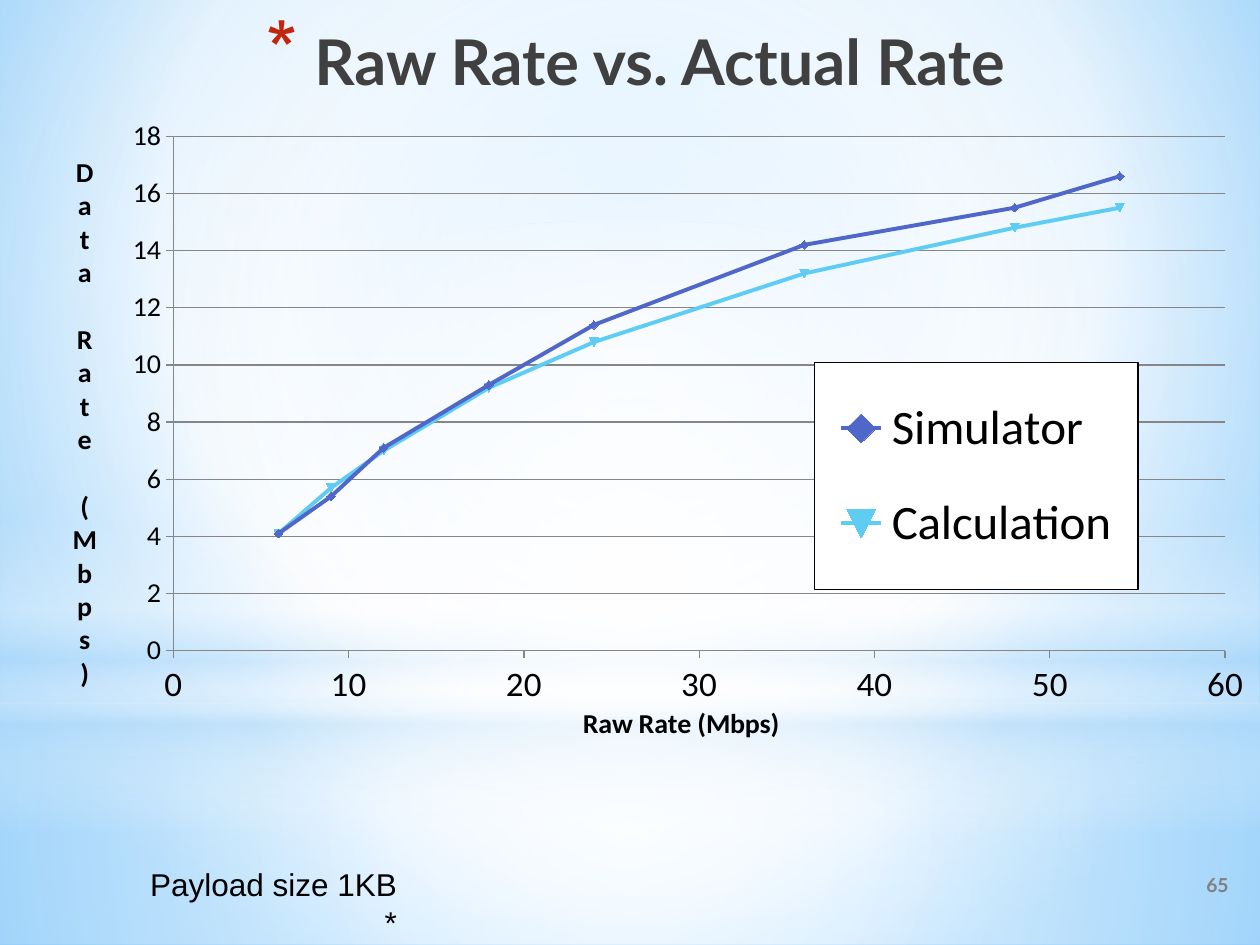
from dataclasses import dataclass

from lxml.etree import SubElement
from pptx import Presentation
from pptx.chart.data import XyChartData
from pptx.dml.color import RGBColor
from pptx.enum.chart import XL_CHART_TYPE as ChartType, XL_LEGEND_POSITION as LegendPosition
from pptx.enum.chart import XL_TICK_MARK as TickMark
from pptx.enum.shapes import MSO_SHAPE as Shape
from pptx.enum.text import MSO_ANCHOR as Anchor, MSO_AUTO_SIZE as AutoSize, PP_ALIGN as Align
from pptx.oxml import parse_xml
from pptx.oxml.ns import nsdecls, qn
from pptx.util import Inches, Pt


@dataclass(frozen=True)
class Theme:
    heading_font: str = "Lato"
    chart_font: str = "Calibri"
    note_font: str = "Arial"
    title_size: int = 36
    legend_size: int = 28
    raw_axis_size: int = 20
    note_size: int = 18
    axis_size: int = 16
    number_size: int = 11
    black: str = "000000"
    title: str = "404040"
    bullet: str = "C3260C"
    gray: str = "808080"
    grid: str = "868686"
    simulator: str = "4E67C8"
    calculation: str = "5ECCF3"


THEME = Theme()
RAW_RATES = (6, 9, 12, 18, 24, 36, 48, 54)
SERIES = (
    ("Simulator", THEME.simulator, (4.1, 5.4, 7.1, 9.3, 11.4, 14.2, 15.5, 16.6)),
    ("Calculation", THEME.calculation, (4.1, 5.7, 7, 9.2, 10.8, 13.2, 14.8, 15.5)),
)
CENTER = (50, 50, 50, 50)
BACKGROUND_STOPS = ((0, "9ED5FF", 100), (60, "FFFFFF", 100), (100, "5BB9FF", 100))
BACKDROP = (
    (Shape.RECTANGLE, 5.58, 1.92,
     ((0, "FFFFFF", 91), (37, "FFFFFF", 76), (100, "B4DCFA", 79)), CENTER),
    (Shape.RECTANGLE, 0, 5.58,
     ((0, "FFFFFF", 89), (48, "FFFFFF", 62), (100, "B4DCFA", 79)), CENTER),
    (Shape.RECTANGLE, 4.12, 2.5,
     ((0, "FFFFFF", 0), (29, "FFFFFF", 30), (45, "B4DCFA", 40),
      (55, "FFFFFF", 26), (65, "B4DCFA", 60), (100, "FFFFFF", 0)), None),
    (Shape.OVAL, 1.75, 5.58, ((0, "FFFFFF", 100), (56, "FFFFFF", 0)), CENTER),
)


def color(value):
    return RGBColor.from_string(value)


def style_font(font, name, size, value, bold=False):
    font.name, font.size, font.bold = name, Pt(size), bold
    font.color.rgb = color(value)


def apply_gradient(element, stops, focus):
    stop_xml = "".join(
        f'<a:gs pos="{position * 1000}"><a:srgbClr val="{value}">'
        f'<a:alpha val="{opacity * 1000}"/></a:srgbClr></a:gs>'
        for position, value, opacity in stops)
    if focus:
        left, top, right, bottom = (edge * 1000 for edge in focus)
        direction = (f'<a:path path="circle"><a:fillToRect l="{left}" t="{top}" '
                     f'r="{right}" b="{bottom}"/></a:path>')
    else:
        direction = '<a:lin ang="5400000" scaled="0"/>'
    gradient = parse_xml(f'<a:gradFill {nsdecls("a")} rotWithShape="1">'
                         f'<a:gsLst>{stop_xml}</a:gsLst>{direction}</a:gradFill>')
    solid = element.xpath(".//a:solidFill")[0]
    solid.getparent().replace(solid, gradient)


def add_backdrop(slide):
    slide.background.fill.solid()
    apply_gradient(slide._element.cSld.bg, BACKGROUND_STOPS, (20, 10, 20, 60))
    for kind, top, height, stops, focus in BACKDROP:
        shape = slide.shapes.add_shape(kind, 0, Inches(top), Inches(10), Inches(height))
        shape.shadow.inherit = False
        shape.line.fill.background()
        shape.fill.solid()
        apply_gradient(shape._element.spPr, stops, focus)


def set_layout(element, index, x, y, width=None, height=None, inner=False):
    for existing in element.findall(qn("c:layout")):
        element.remove(existing)
    layout = parse_xml(f'<c:layout {nsdecls("c")}><c:manualLayout/></c:layout>')
    manual = layout[0]
    if inner:
        SubElement(manual, qn("c:layoutTarget")).set("val", "inner")
    for name in ("xMode", "yMode"):
        SubElement(manual, qn(f"c:{name}")).set("val", "edge")
    for name, value in (("x", x), ("y", y), ("w", width), ("h", height)):
        if value is not None:
            SubElement(manual, qn(f"c:{name}")).set("val", str(value))
    element.insert(index, layout)


def style_axis(axis, maximum, step, size, title, x, y):
    axis.minimum_scale, axis.maximum_scale, axis.major_unit = 0, maximum, step
    axis.major_tick_mark, axis.minor_tick_mark = TickMark.OUTSIDE, TickMark.NONE
    axis.format.line.color.rgb = color(THEME.grid)
    axis.format.line.width = Pt(0.75)
    style_font(axis.tick_labels.font, THEME.chart_font, size, THEME.black)
    axis.tick_labels.number_format = "General"
    axis.tick_labels.number_format_is_linked = False
    frame = axis.axis_title.text_frame
    frame.text = title
    style_font(frame.paragraphs[0].font, THEME.chart_font, THEME.axis_size, THEME.black, True)
    set_layout(axis.axis_title._element, 1, x, y)
    return frame


def style_legend(chart):
    chart.has_legend = True
    legend = chart.legend
    legend.position = LegendPosition.CORNER
    legend.include_in_layout = False
    style_font(legend.font, THEME.chart_font, THEME.legend_size, THEME.black)
    set_layout(legend._element, 1, 0.64, 0.46, 0.26, 0.33)
    legend._element.find(qn("c:txPr")).addprevious(parse_xml(
        f'<c:spPr {nsdecls("c", "a")}><a:solidFill><a:srgbClr val="FFFFFF"/></a:solidFill>'
        f'<a:ln w="9525"><a:solidFill><a:srgbClr val="{THEME.black}"/></a:solidFill></a:ln>'
        '</c:spPr>'))


def add_rate_chart(slide):
    data = XyChartData()
    for name, _, rates in SERIES:
        series = data.add_series(name)
        for raw_rate, rate in zip(RAW_RATES, rates):
            series.add_data_point(raw_rate, rate)
    chart = slide.shapes.add_chart(ChartType.XY_SCATTER_LINES, Inches(0.14), Inches(0.36),
                                   Inches(9.88), Inches(5.59), data).chart
    chart.has_title = False
    style_font(chart.font, THEME.chart_font, THEME.axis_size, THEME.black)
    for index, (series, (_, value, _)) in enumerate(zip(chart.plots[0].series, SERIES), 1):
        series._element.idx.val = index
        series.smooth = False
        series.format.line.color.rgb = color(value)
        series.format.line.width = Pt(2.25)
        series.marker.size = 5
        series.marker.format.fill.solid()
        series.marker.format.fill.fore_color.rgb = color(value)
    chart.plots[0].vary_by_categories = False
    set_layout(chart._chartSpace.chart.plotArea, 0, 0.125, 0.132, 0.845, 0.747, True)
    style_axis(chart.category_axis, 60, 10, THEME.raw_axis_size, "Raw Rate (Mbps)", 0.45, 0.95)
    chart.category_axis.has_major_gridlines = False
    frame = style_axis(chart.value_axis, 18, 2, THEME.axis_size, "Data Rate (Mbps)", 0.04, 0.15)
    frame._txBody.bodyPr.set("vert", "wordArtVert")
    grid_line = chart.value_axis.major_gridlines.format.line
    grid_line.color.rgb = color(THEME.grid)
    grid_line.width = Pt(0.75)
    style_legend(chart)


def add_title(slide, text):
    title = slide.shapes.title
    title.left, title.top, title.width, title.height = map(Inches, (0.91, 0.13, 8.27, 1.1))
    frame = title.text_frame
    frame.text = text
    frame.vertical_anchor, frame.auto_size = Anchor.TOP, AutoSize.NONE
    paragraph = frame.paragraphs[0]
    paragraph.alignment = Align.CENTER
    style_font(paragraph.font, THEME.heading_font, THEME.title_size, THEME.title, True)
    properties = paragraph._p.get_or_add_pPr()
    properties.set("marL", str(Inches(0.38)))
    properties.set("indent", str(Inches(-0.38)))
    bullet = parse_xml(
        f'<a:pPr {nsdecls("a")}><a:buClr><a:srgbClr val="{THEME.bullet}"/></a:buClr>'
        '<a:buSzPct val="128000"/><a:buChar char="*"/></a:pPr>')
    for index, child in enumerate(list(bullet)):
        properties.insert(index, child)
    slide.shapes._spTree.append(title._element)


def add_label(slide, text, left, width, anchor, right_margin, *font_style):
    box = slide.shapes.add_textbox(Inches(left), Inches(6.82), Inches(width), Inches(0.4))
    frame = box.text_frame
    frame.text = text
    frame.word_wrap, frame.vertical_anchor = True, anchor
    frame.margin_left, frame.margin_right = 0, Inches(right_margin)
    frame.paragraphs[0].alignment = Align.RIGHT
    style_font(frame.paragraphs[0].font, *font_style)


def main():
    presentation = Presentation()
    presentation.slide_width, presentation.slide_height = Inches(10), Inches(7.5)
    slide = presentation.slides.add_slide(presentation.slide_layouts[5])
    add_backdrop(slide)
    add_rate_chart(slide)
    add_title(slide, "Raw Rate vs. Actual Rate")
    add_label(slide, "65", 6.18, 3.67, Anchor.MIDDLE, 0.1,
              THEME.heading_font, THEME.number_size, THEME.gray, True)
    add_label(slide, "Payload size 1KB *", 1.1, 2.31, Anchor.TOP, 0.26,
              THEME.note_font, THEME.note_size, THEME.black)
    presentation.save("out.pptx")


if __name__ == "__main__":
    main()
